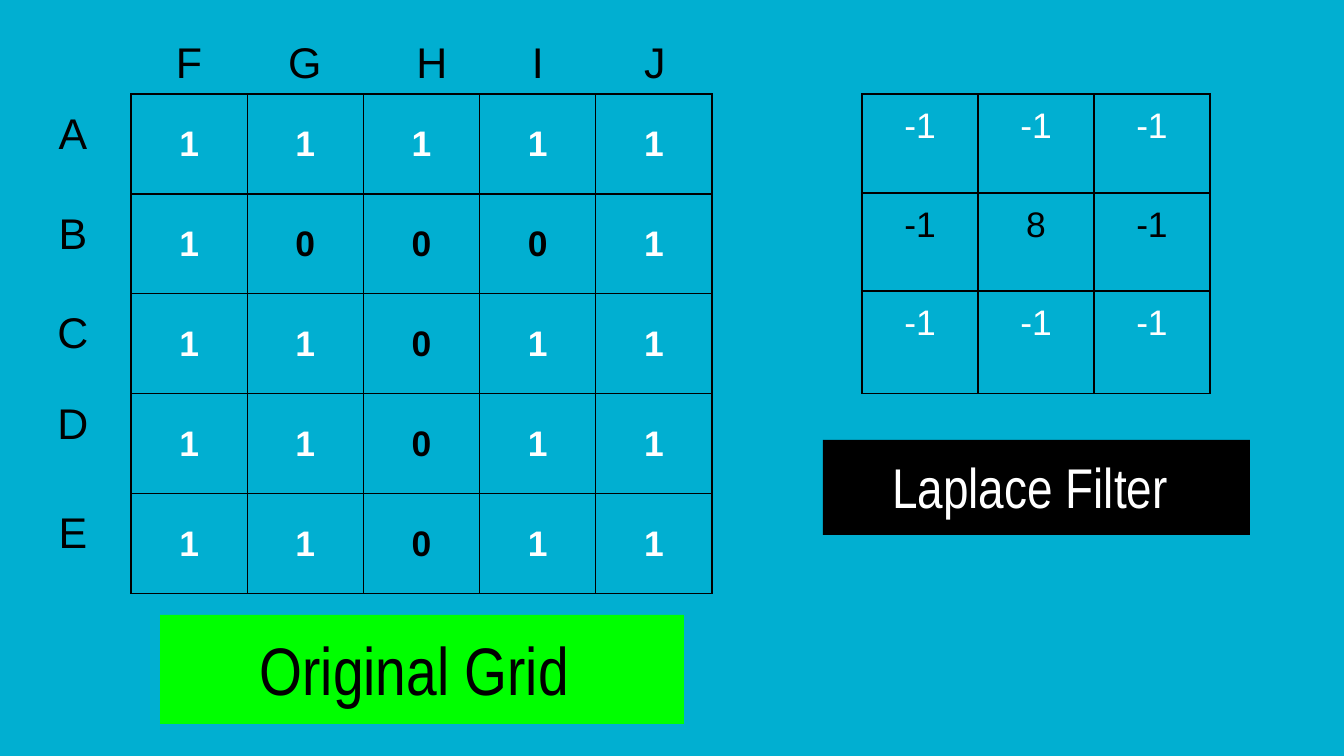
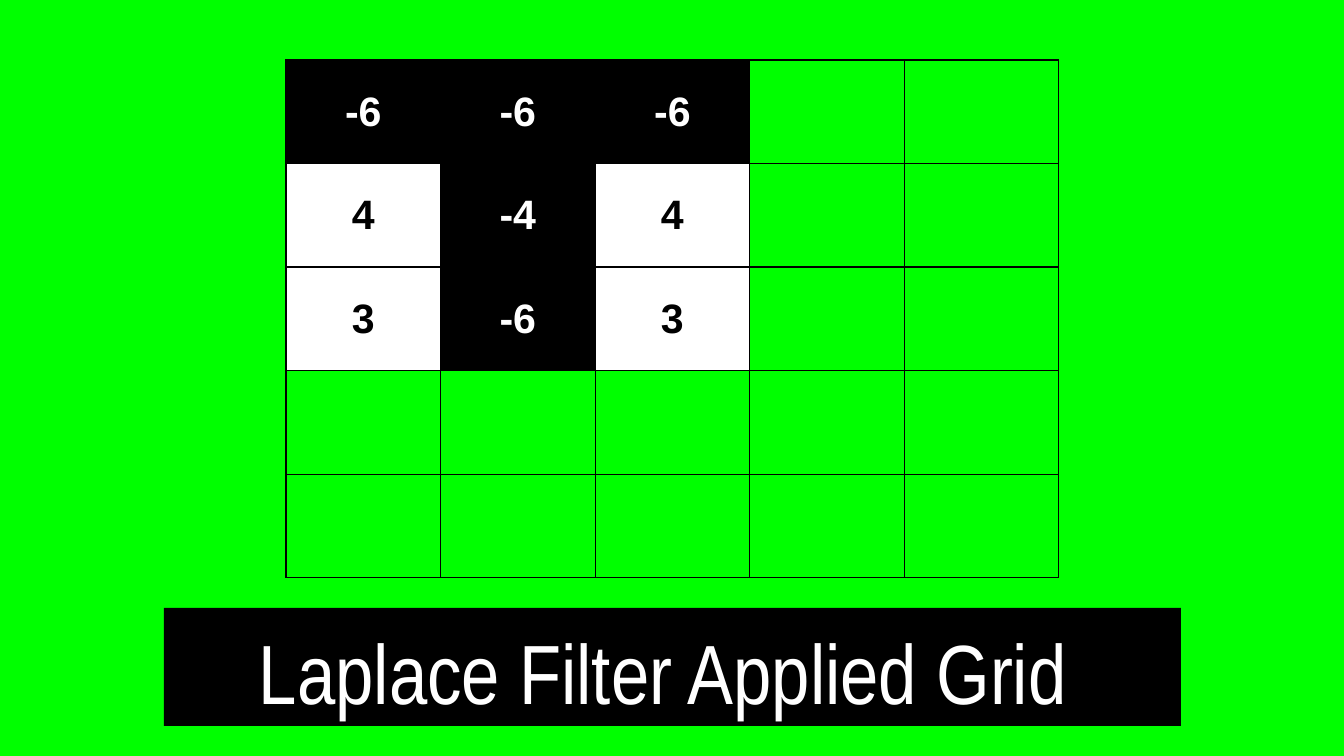
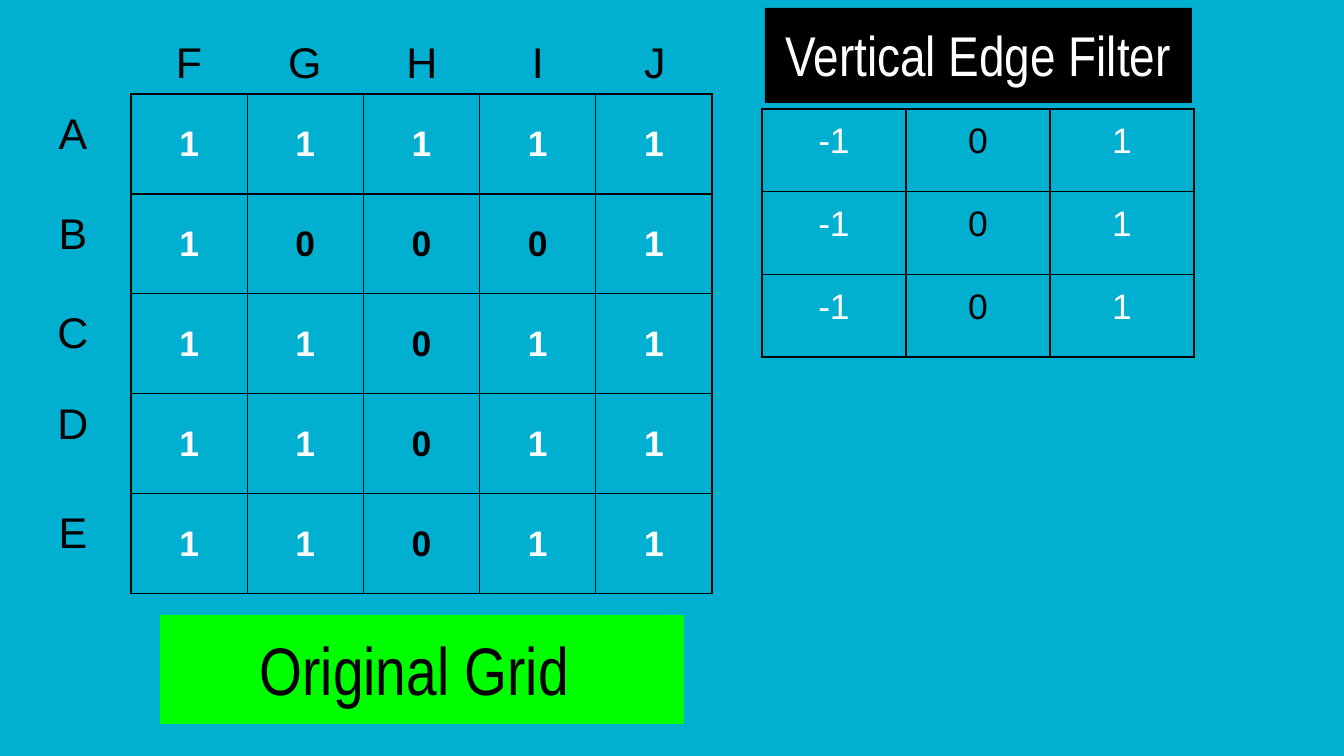
import pptx
import pptx.util
import pptx.oxml
import pptx.oxml.ns
import pptx.dml.color
import pptx.enum.shapes
import pptx.enum.text

RGB = pptx.dml.color.RGBColor
BLUE = RGB(0x01, 0xAF, 0xD1)
GREEN = RGB(0x00, 0xFF, 0x00)
BLACK = RGB(0x00, 0x00, 0x00)
WHITE = RGB(0xFF, 0xFF, 0xFF)

BODY_FONT = "Arial"
CAPTION_FONT = "Arial Narrow"
EMU_PER_PX = 914400 / 134.4
INSET = 13

TOP = pptx.enum.text.MSO_ANCHOR.TOP
MIDDLE = pptx.enum.text.MSO_ANCHOR.MIDDLE

LETTER_T = [
    [1, 1, 1, 1, 1],
    [1, 0, 0, 0, 1],
    [1, 1, 0, 1, 1],
    [1, 1, 0, 1, 1],
    [1, 1, 0, 1, 1],
]
LAPLACE = [[-1, -1, -1], [-1, 8, -1], [-1, -1, -1]]
VERTICAL_EDGE = [[-1, 0, 1]] * 3
FILTERED = [
    [-6, -6, -6, "", ""],
    [4, -4, 4, "", ""],
    [3, -6, 3, "", ""],
    [""] * 5,
    [""] * 5,
]


def px(n):
    return pptx.util.Emu(round(n * EMU_PER_PX))


def box(*lengths):
    return [px(n) for n in lengths]


def set_insets(target):
    target.margin_left = target.margin_right = px(INSET)
    target.margin_top = target.margin_bottom = px(INSET)


def write(tf, text, size, color, font=BODY_FONT, bold=False):
    """Put one centred paragraph into a text frame."""
    p = tf.paragraphs[0]
    p.text = str(text)
    p.alignment = pptx.enum.text.PP_ALIGN.CENTER
    p.font.size = pptx.util.Pt(size)
    for r in p.runs:
        r.font.size = pptx.util.Pt(size)
        r.font.name = font
        r.font.bold = bold
        r.font.color.rgb = color


def fill_box(sp, text, size, color, font=BODY_FONT, grow=True):
    tf = sp.text_frame
    tf.word_wrap = True
    tf.vertical_anchor = TOP
    if grow:
        tf.auto_size = pptx.enum.text.MSO_AUTO_SIZE.SHAPE_TO_FIT_TEXT
    set_insets(tf)
    write(tf, text, size, color, font)


def add_borders(cell):
    tcPr = cell._tc.get_or_add_tcPr()
    for side in ("lnL", "lnR", "lnT", "lnB"):
        tcPr.append(pptx.oxml.parse_xml(
            f'<a:{side} {pptx.oxml.ns.nsdecls("a")} w="9525"><a:solidFill>'
            f'<a:srgbClr val="{BLACK}"/></a:solidFill></a:{side}>'))


def add_grid(slide, values, area, size, ink, paper=None, bold=False,
             anchor=MIDDLE, row_heights=()):
    """Table of numbers; ink(row, value) and paper(value) give its colours."""
    table = slide.shapes.add_table(len(values), len(values[0]), *box(*area)).table
    table.first_row = table.horz_banding = False
    for row, height in zip(table.rows, row_heights):
        row.height = px(height)
    for i, row_values in enumerate(values):
        for j, value in enumerate(row_values):
            cell = table.cell(i, j)
            add_borders(cell)
            color = paper(value) if paper else None
            if color is None:
                cell.fill.background()
            else:
                cell.fill.solid()
                cell.fill.fore_color.rgb = color
            cell.vertical_anchor = anchor
            set_insets(cell)
            write(cell.text_frame, value, size, ink(i, value), bold=bold)


def add_label(slide, text, left, top):
    sp = slide.shapes.add_textbox(*box(left, top, 116, 79))
    fill_box(sp, text, 23, BLACK)


def add_caption(slide, text, area, size, fill=BLACK, color=WHITE, grow=True):
    sp = slide.shapes.add_shape(pptx.enum.shapes.MSO_SHAPE.RECTANGLE, *box(*area))
    sp.shadow.inherit = False
    sp.fill.solid()
    sp.fill.fore_color.rgb = fill
    sp.line.fill.background()
    fill_box(sp, text, size, color, CAPTION_FONT, grow)


def add_slide(prs, color):
    slide = prs.slides.add_slide(prs.slide_layouts[6])
    slide.background.fill.solid()
    slide.background.fill.fore_color.rgb = color
    return slide


def zero_black(row, value):
    return BLACK if value == 0 else WHITE


def middle_row_black(row, value):
    return BLACK if row == 1 else WHITE


def negative_white(row, value):
    return WHITE if value != "" and value < 0 else BLACK


def negative_on_black(value):
    if value == "":
        return None
    return BLACK if value < 0 else WHITE


def add_letter_grid(slide, h_left):
    """Letter grid with its column and row labels and caption."""
    add_grid(slide, LETTER_T, (131, 94, 581, 500), 19, zero_black, bold=True)
    for text, left in zip("FGHIJ", (131, 247, h_left, 480, 597)):
        add_label(slide, text, left, 23)
    for text, top in zip("ABCDE", (94, 194, 293, 384, 493)):
        add_label(slide, text, 15, top)
    add_caption(slide, "Original Grid ", (160, 615, 524, 109), 36, GREEN, BLACK)


def main():
    prs = pptx.Presentation()
    prs.slide_width, prs.slide_height = box(1344, 756)

    # Letter grid and Laplace filter
    slide = add_slide(prs, BLUE)
    add_letter_grid(slide, h_left=374)
    add_grid(slide, LAPLACE, (862, 94, 348, 300), 19, middle_row_black,
             anchor=TOP, row_heights=(99, 98, 103))
    add_caption(slide, "Laplace Filter ", (823, 440, 427, 95), 30)

    # Result of the Laplace filter
    slide = add_slide(prs, GREEN)
    add_grid(slide, FILTERED, (286, 60, 773, 518), 22, negative_white,
             negative_on_black, bold=True)
    add_caption(slide, "Laplace Filter Applied Grid ", (164, 608, 1017, 118), 45,
                grow=False)

    # Letter grid and vertical edge filter
    slide = add_slide(prs, BLUE)
    add_letter_grid(slide, h_left=364)
    add_grid(slide, VERTICAL_EDGE, (762, 109, 432, 248), 19, zero_black, anchor=TOP)
    add_caption(slide, "Vertical Edge Filter", (765, 8, 427, 95), 30)

    prs.save("out.pptx")


if __name__ == "__main__":
    main()
